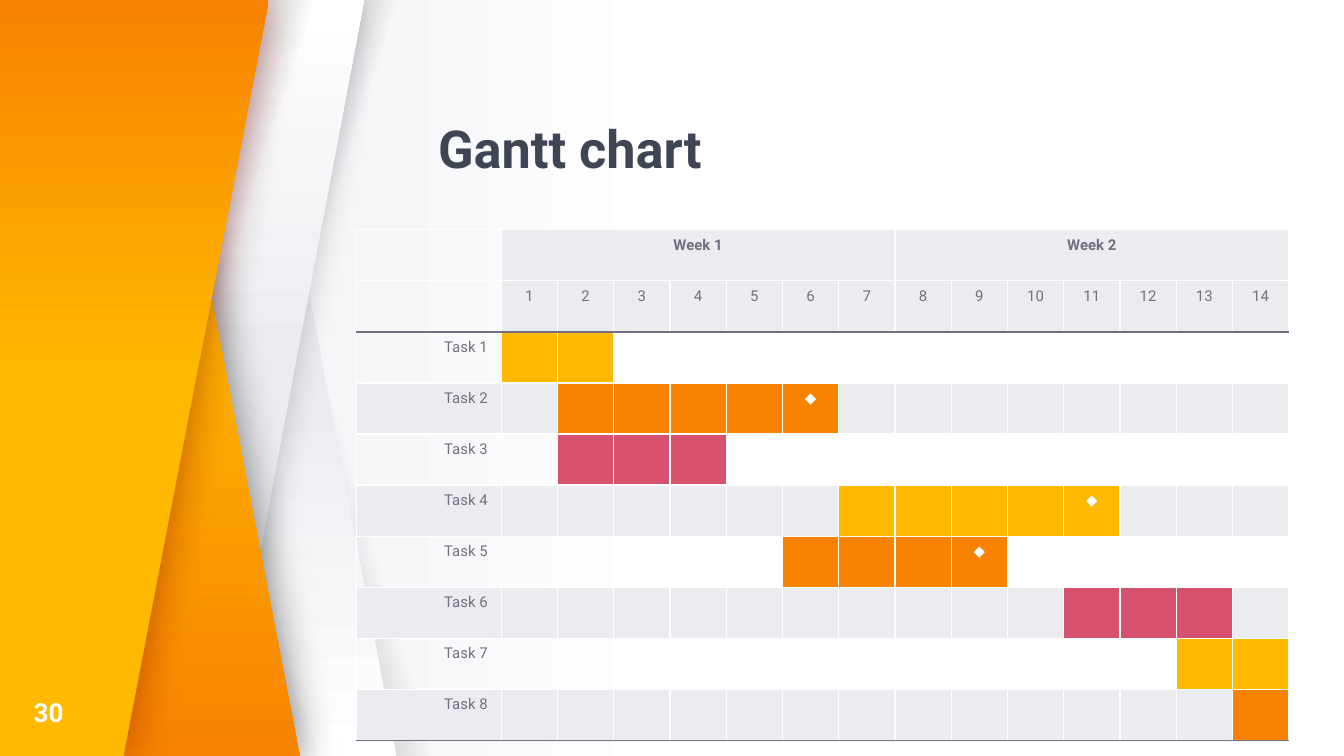
from dataclasses import dataclass
from typing import Optional

from pptx import Presentation
from pptx.dml.color import RGBColor
from pptx.enum import shapes, text
from pptx.oxml.ns import qn
from pptx.util import Inches, Pt
from lxml import etree

COLORS = {
    "white": "FFFFFF", "pale": "EAECF0", "slate": "3E4655", "dark": "27252C",
    "grey": "746F7E", "yellow": "FFB900", "orange": "F78300", "pink": "D6516E",
    "black": "000000", "maroon": "7E0808",
}
FONT = "Roboto"
WIDTH = 10
HEIGHT = WIDTH * 9 / 16
DAYS, DAYS_PER_WEEK, HEADER_ROWS = 14, 7, 2
TABLE_LEFT, TABLE_TOP, TABLE_WIDTH = 2.65, 1.71, 6.94
LABEL_WIDTH, ROW_HEIGHT = 1.08, 0.38


@dataclass
class Gradient:
    """Two (percent, colour) stops and a clockwise angle in degrees."""
    start: tuple[int, str]
    end: tuple[int, str]
    angle: int


@dataclass
class Shadow:
    color: str
    opacity: int
    blur: float


@dataclass
class Band:
    """Slanted strip: a parallelogram, or a freeform when points are given."""
    gradient: Gradient
    left: float = 0
    skew: float = 0
    flip: bool = False
    fade: bool = False
    shadow: Optional[Shadow] = None
    points: tuple[tuple[float, float], ...] = ()


@dataclass
class Task:
    first: int
    last: int
    color: str
    milestone: bool = False


SHADE_RIGHT = Gradient((45, "dark"), (100, "slate"), 16)
SHADE_LEFT = Gradient((44, "dark"), (100, "slate"), 198)
BANDS = [
    Band(SHADE_RIGHT, 1.07, 0.75, flip=True, fade=True),
    Band(Gradient((53, "pale"), (100, "white"), 90), 0.65, 0.46, flip=True),
    Band(SHADE_LEFT, 0.65, 0.75, fade=True),
    Band(Gradient((53, "pale"), (100, "white"), 270), 0.41, 0.46,
         shadow=Shadow("black", 20, 16.9)),
    Band(SHADE_RIGHT, 0.22, 0.75, flip=True, fade=True),
    Band(Gradient((37, "yellow"), (100, "orange"), 90), shadow=Shadow("black", 50, 24.7),
         points=((0, 0), (0, HEIGHT), (2.23, HEIGHT), (1.15, 0))),
    Band(SHADE_LEFT, 0.03, 0.75, fade=True),
    Band(Gradient((50, "yellow"), (100, "orange"), 270), shadow=Shadow("maroon", 50, 24.7),
         points=((0, HEIGHT), (0, 0), (2, 0), (0.92, HEIGHT))),
]
TASKS = [
    Task(1, 2, "yellow"), Task(2, 6, "orange", True), Task(2, 4, "pink"),
    Task(7, 11, "yellow", True), Task(6, 9, "orange", True), Task(11, 13, "pink"),
    Task(13, 14, "yellow"), Task(14, 14, "orange"),
]


def rgb(name: str) -> RGBColor:
    return RGBColor.from_string(COLORS[name])


def set_gradient(fill, gradient: Gradient) -> None:
    fill.gradient()
    fill.gradient_angle = 360 - gradient.angle
    for stop, (percent, color) in zip(fill.gradient_stops, (gradient.start, gradient.end)):
        stop.position = percent / 100
        stop.color.rgb = rgb(color)


def add_alpha(color_element, percent: int) -> None:
    etree.SubElement(color_element, qn("a:alpha"), val=str(percent * 1000))


def draw_band(slide, band: Band) -> None:
    if band.points:
        start, *rest = [(Inches(x), Inches(y)) for x, y in band.points]
        builder = slide.shapes.build_freeform(*start)
        builder.add_line_segments(rest, close=True)
        sp = builder.convert_to_shape()
    else:
        sp = slide.shapes.add_shape(shapes.MSO_SHAPE.PARALLELOGRAM, Inches(band.left), 0,
                                    Inches(2.3), Inches(HEIGHT))
        sp.adjustments[0] = band.skew
    props = sp.element.spPr
    if band.flip:
        props.find(qn("a:xfrm")).set("flipH", "1")
    set_gradient(sp.fill, band.gradient)
    if band.fade:
        add_alpha(props.find(".//" + qn("a:srgbClr")), 0)
    sp.line.fill.background()
    sp.shadow.inherit = False
    if band.shadow:
        outer = etree.SubElement(props.find(qn("a:effectLst")), qn("a:outerShdw"),
                                 blurRad=str(Pt(band.shadow.blur)), dist="0", dir="0",
                                 algn="ctr", rotWithShape="0")
        color = etree.SubElement(outer, qn("a:srgbClr"), val=COLORS[band.shadow.color])
        add_alpha(color, band.shadow.opacity)


def format_font(p, size: float, color: str, bold: bool = False) -> None:
    p.font.name, p.font.size, p.font.bold = FONT, Pt(size), bold
    p.font.color.rgb = rgb(color)


def format_frame(tf, anchor) -> None:
    tf.margin_left = tf.margin_top = tf.margin_right = tf.margin_bottom = 0
    tf.word_wrap, tf.auto_size = True, text.MSO_AUTO_SIZE.NONE
    tf.vertical_anchor = anchor


def set_borders(cell, top: str, bottom: str) -> None:
    props = cell._tc.get_or_add_tcPr()
    for side, color in (("L", "white"), ("R", "white"), ("T", top), ("B", bottom)):
        line = etree.SubElement(props, qn(f"a:ln{side}"), w=str(Pt(0.75)))
        fill = etree.SubElement(line, qn("a:solidFill"))
        etree.SubElement(fill, qn("a:srgbClr"), val=COLORS[color])


def write_cell(cell, words: str, fill: Optional[str], color: str = "grey",
               bold: bool = False, align=text.PP_ALIGN.CENTER) -> None:
    cell.text = words
    p = cell.text_frame.paragraphs[0]
    p.alignment = align
    format_font(p, 8, color, bold)
    if fill:
        cell.fill.solid()
        cell.fill.fore_color.rgb = rgb(fill)
    else:
        cell.fill.background()


def draw_gantt(slide) -> None:
    rows = HEADER_ROWS + len(TASKS)
    table = slide.shapes.add_table(rows, DAYS + 1, Inches(TABLE_LEFT), Inches(TABLE_TOP),
                                   Inches(TABLE_WIDTH), Inches(rows * ROW_HEIGHT)).table
    table.first_row = table.horz_banding = False
    for col, column in enumerate(table.columns):
        column.width = Inches((TABLE_WIDTH - LABEL_WIDTH) / DAYS if col else LABEL_WIDTH)
    ruled = (HEADER_ROWS - 1, rows - 1)
    for row in range(rows):
        for col in range(DAYS + 1):
            set_borders(table.cell(row, col), "grey" if row == HEADER_ROWS else "white",
                        "grey" if row in ruled else "white")

    for row in range(HEADER_ROWS):
        write_cell(table.cell(row, 0), "", None)
    for day in range(1, DAYS + 1):
        week, offset = divmod(day - 1, DAYS_PER_WEEK)
        write_cell(table.cell(0, day), "" if offset else f"Week {week + 1}", "pale", bold=True)
        write_cell(table.cell(1, day), str(day), "pale")
    for first in range(1, DAYS + 1, DAYS_PER_WEEK):
        table.cell(0, first).merge(table.cell(0, first + DAYS_PER_WEEK - 1))

    for number, task in enumerate(TASKS, 1):
        row = HEADER_ROWS + number - 1
        stripe = None if number % 2 else "pale"
        write_cell(table.cell(row, 0), f"Task {number}", stripe, align=text.PP_ALIGN.RIGHT)
        for day in range(1, DAYS + 1):
            active = task.first <= day <= task.last
            mark = "◆" if task.milestone and day == task.last else ""
            write_cell(table.cell(row, day), mark, task.color if active else stripe, "white")


def main() -> None:
    prs = Presentation()
    prs.slide_width, prs.slide_height = Inches(WIDTH), Inches(HEIGHT)
    s = prs.slides.add_slide(prs.slide_layouts[5])
    set_gradient(s.background.fill, Gradient((50, "white"), (100, "pale"), 180))
    for band in BANDS:
        draw_band(s, band)

    title = s.shapes.title
    title.left, title.top, title.width, title.height = map(Inches, (3.26, 0.91, 5.97, 0.43))
    title.text = "Gantt chart"
    format_frame(title.text_frame, text.MSO_ANCHOR.BOTTOM)
    p = title.text_frame.paragraphs[0]
    p.alignment, p.line_spacing = text.PP_ALIGN.LEFT, 0.9
    format_font(p, 28, "slate", bold=True)

    number = s.shapes.add_textbox(*map(Inches, (0.25, 5.16, 0.4, 0.27)))
    number.text_frame.text = "30"
    format_frame(number.text_frame, text.MSO_ANCHOR.MIDDLE)
    format_font(number.text_frame.paragraphs[0], 14, "white", bold=True)

    draw_gantt(s)
    prs.save("out.pptx")


if __name__ == "__main__":
    main()
